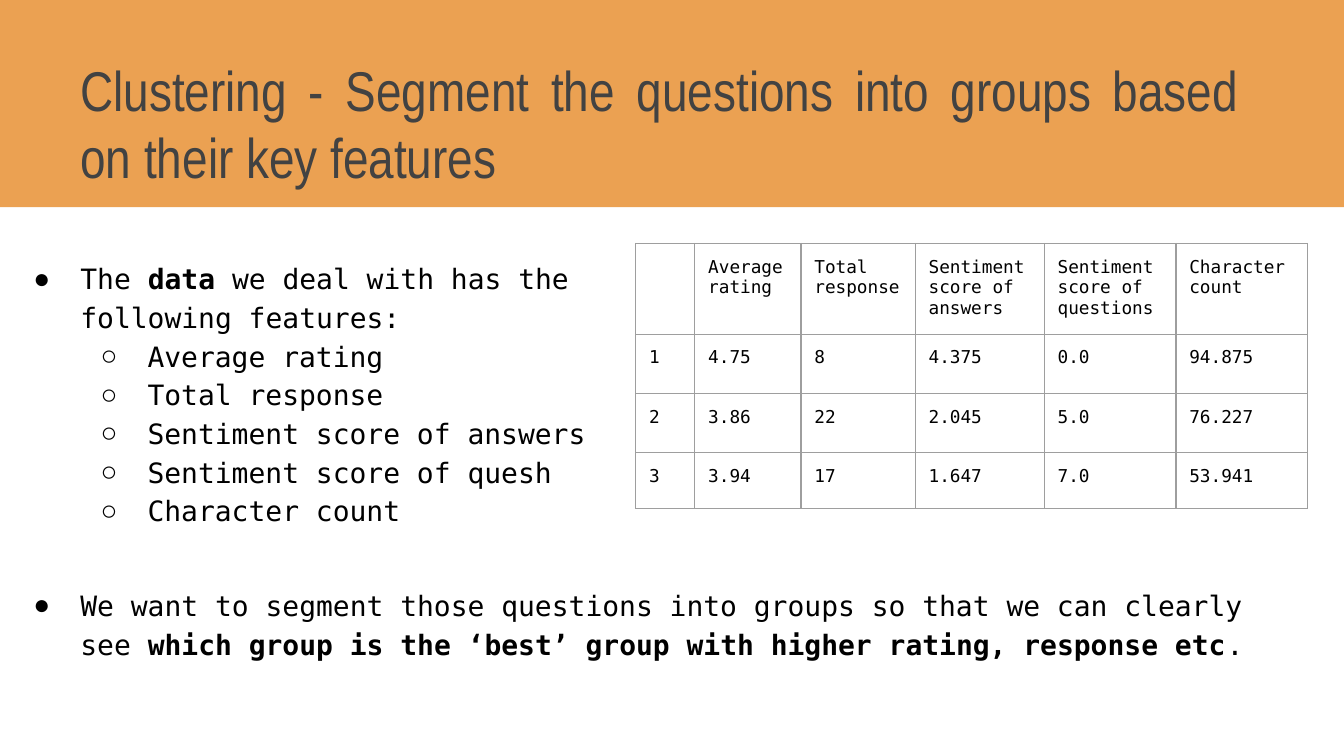
from lxml.etree import SubElement
from pptx import Presentation
from pptx.dml.color import RGBColor
from pptx.enum.shapes import MSO_SHAPE
from pptx.enum.text import MSO_ANCHOR, PP_ALIGN
from pptx.oxml.ns import qn
from pptx.util import Inches, Pt

ORANGE = RGBColor(0xEB, 0xA1, 0x52)
CHARCOAL = RGBColor(0x42, 0x42, 0x42)
BLACK = RGBColor(0x00, 0x00, 0x00)
GREY = RGBColor(0x9E, 0x9E, 0x9E)
TITLE_FONT = "Arial Narrow"
BODY_FONT = "DejaVu Sans Mono"
WIDTH = Inches(10)
HEIGHT = WIDTH * 9 // 16
INSET = Inches(0.1)
CONTENT_TOP = 0.322
TITLE = "Clustering - Segment the questions into groups based on their key features"
FEATURES = [
    (0, ["The ", "data", " we deal with has the following features:"]),
    (1, ["Average rating"]),
    (1, ["Total response"]),
    (1, ["Sentiment score of answers"]),
    (1, ["Sentiment score of quesh"]),
    (1, ["Character count"]),
]
GOAL = [
    (0, ["We want to segment those questions into groups so that we can clearly see ",
         "which group is the ‘best’ group with higher rating, response etc", "."]),
]
GROUP_ROWS = [
    ["", "Average rating", "Total response", "Sentiment score of answers",
     "Sentiment score of questions", "Character count"],
    ["1", "4.75", "8", "4.375", "0.0", "94.875"],
    ["2", "3.86", "22", "2.045", "5.0", "76.227"],
    ["3", "3.94", "17", "1.647", "7.0", "53.941"],
]
COLUMN_WIDTHS = [0.44, 0.79, 0.85, 0.96, 0.98, 0.98]
ROW_HEIGHTS = [0.59, 0.44, 0.44, 0.42]


def area(left, top, width, height):
    """Turn shares of the slide into a position and size."""
    return int(left * WIDTH), int(top * HEIGHT), int(width * WIDTH), int(height * HEIGHT)


def style(font, size, name, color, bold=False):
    """Set the look of a font."""
    font.size, font.name, font.bold = Pt(size), name, bold
    font.color.rgb = color


def set_insets(frame):
    """Give a text frame or a cell equal margins."""
    frame.margin_left = frame.margin_right = INSET
    frame.margin_top = frame.margin_bottom = INSET


def add_text_area(slide, box):
    """Add a wrapping text box and return its frame."""
    frame = slide.shapes.add_textbox(*box).text_frame
    frame.word_wrap = True
    set_insets(frame)
    return frame


def add_band(slide, box):
    """Add the coloured band behind the title."""
    band = slide.shapes.add_shape(MSO_SHAPE.RECTANGLE, *box)
    band.shadow.inherit = False
    band.fill.solid()
    band.fill.fore_color.rgb = ORANGE
    band.line.fill.background()


def add_title(slide, box):
    """Add the justified title, lifted to sit inside the band."""
    frame = add_text_area(slide, box)
    frame.vertical_anchor = MSO_ANCHOR.BOTTOM
    frame.margin_bottom = Inches(0.6)
    frame.text = TITLE
    heading = frame.paragraphs[0]
    heading.alignment = PP_ALIGN.JUSTIFY
    heading._p.get_or_add_pPr().set("marL", str(Inches(0.5)))
    style(heading.runs[0].font, 30, TITLE_FONT, CHARCOAL)


def set_bullet(paragraph, level):
    """Indent a paragraph and give it the bullet of its level."""
    paragraph.level = level
    paragraph.line_spacing = 1.15
    properties = paragraph._p.get_or_add_pPr()
    properties.set("marL", str(Inches(0.5 * (level + 1))))
    properties.set("indent", str(Inches(-0.35)))
    color = SubElement(properties, qn("a:buClr"))
    SubElement(color, qn("a:srgbClr"), val=str(BLACK))
    SubElement(properties, qn("a:buFont"), typeface="Arial")
    SubElement(properties, qn("a:buChar"), char="●○"[level])


def add_bullets(slide, box, items):
    """Add bulleted items whose every second part is bold."""
    frame = add_text_area(slide, box)
    for index, (level, parts) in enumerate(items):
        paragraph = frame.add_paragraph() if index else frame.paragraphs[0]
        set_bullet(paragraph, level)
        for position, part in enumerate(parts):
            run = paragraph.add_run()
            run.text = part
            style(run.font, 15, BODY_FONT, BLACK, position % 2 == 1)


def set_borders(cell):
    """Draw thin grey lines on all sides of a cell."""
    properties = cell._tc.get_or_add_tcPr()
    for index, side in enumerate(("a:lnL", "a:lnR", "a:lnT", "a:lnB")):
        line = properties.makeelement(qn(side), {"w": str(Pt(0.75))})
        fill = SubElement(line, qn("a:solidFill"))
        SubElement(fill, qn("a:srgbClr"), val=str(GREY))
        properties.insert(index, line)


def add_group_table(slide, left, top):
    """Add the table of average features per group."""
    box = left, top, Inches(sum(COLUMN_WIDTHS)), Inches(sum(ROW_HEIGHTS))
    table = slide.shapes.add_table(len(ROW_HEIGHTS), len(COLUMN_WIDTHS), *box).table
    table.first_row = table.horz_banding = False
    for column, width in zip(table.columns, COLUMN_WIDTHS):
        column.width = Inches(width)
    for row, height, values in zip(table.rows, ROW_HEIGHTS, GROUP_ROWS):
        row.height = Inches(height)
        for cell, value in zip(row.cells, values):
            cell.fill.background()
            set_insets(cell)
            set_borders(cell)
            cell.text = value
            for run in cell.text_frame.paragraphs[0].runs:
                style(run.font, 9.5, BODY_FONT, BLACK)


def main():
    """Build the slide and save it."""
    presentation = Presentation()
    presentation.slide_width, presentation.slide_height = WIDTH, HEIGHT
    slide = presentation.slides.add_slide(presentation.slide_layouts[6])
    add_band(slide, area(0, 0, 1, 0.274))
    add_title(slide, area(0, 0, 0.932, 0.358))
    add_bullets(slide, area(0, CONTENT_TOP, 0.517, 0.603), FEATURES)
    add_group_table(slide, *area(0.473, CONTENT_TOP, 0, 0)[:2])
    add_bullets(slide, area(0, 0.754, 0.974, 0.132), GOAL)
    presentation.save("out.pptx")


if __name__ == "__main__":
    main()
